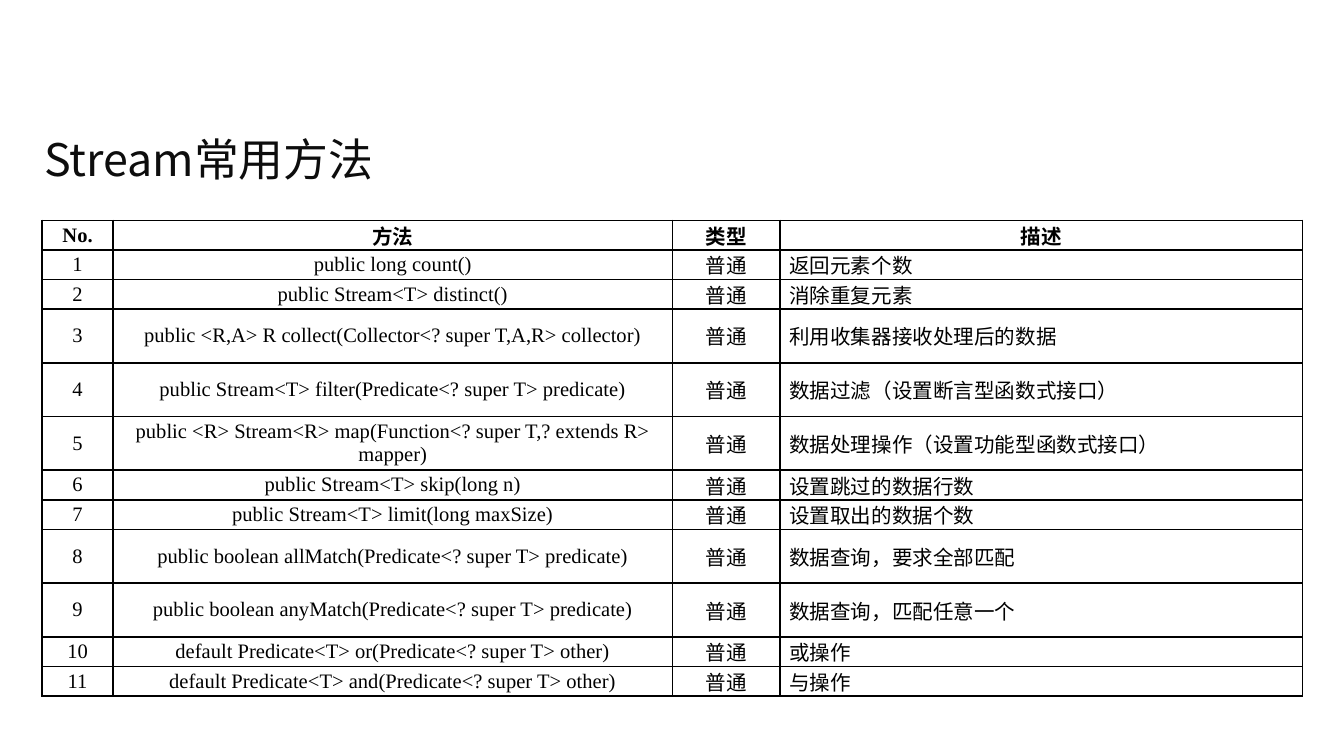
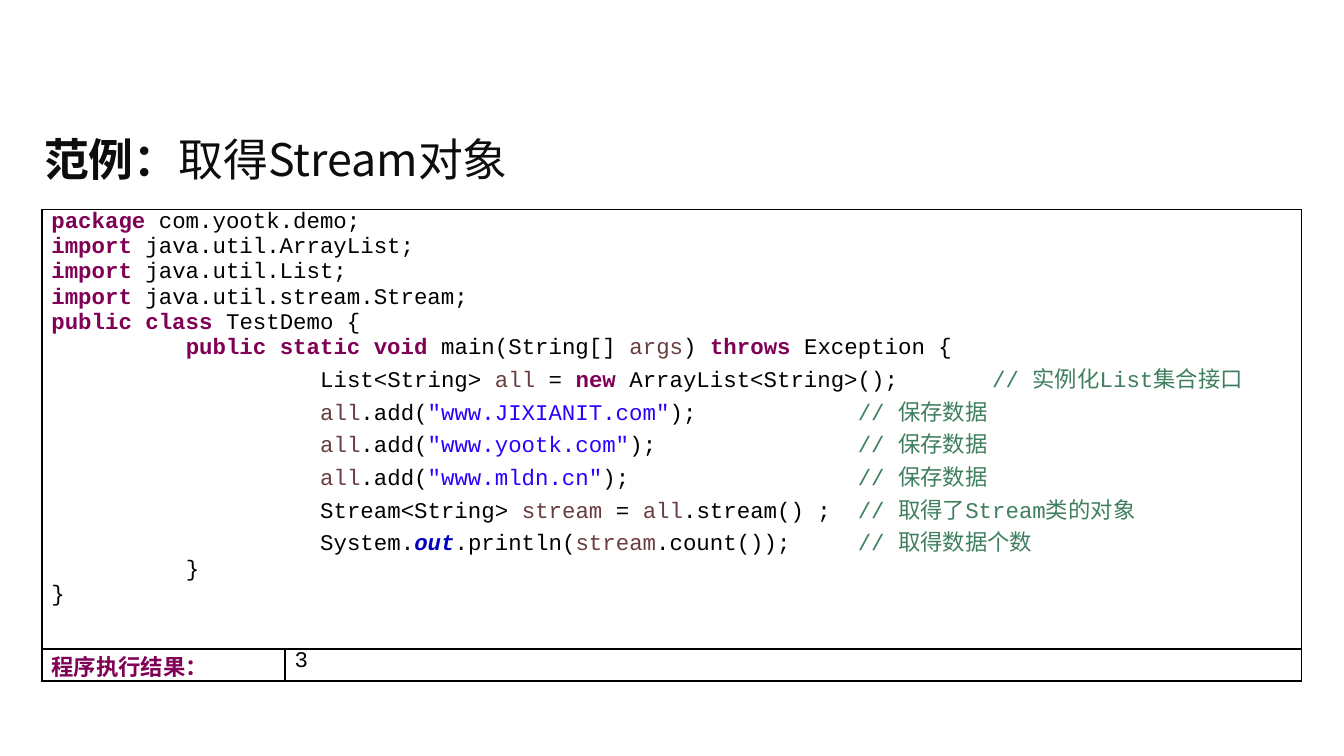
from dataclasses import dataclass

from lxml import etree
from pptx import Presentation
from pptx.dml.color import RGBColor
from pptx.enum.text import MSO_ANCHOR, PP_ALIGN
from pptx.oxml.ns import qn
from pptx.util import Inches, Pt

LEFT = PP_ALIGN.LEFT
CENTER = PP_ALIGN.CENTER
JUSTIFY = PP_ALIGN.JUSTIFY
TOP = MSO_ANCHOR.TOP
MIDDLE = MSO_ANCHOR.MIDDLE


@dataclass(frozen=True)
class Theme:
    width: float = 10
    height: float = 10 * 9 / 16
    margin: float = 10 / 32
    cell_inset: float = 0.07
    border: float = 1
    tab: float = 1
    title_size: int = 24
    table_size: int = 11
    code_size: int = 12
    east_asian_font: str = "Noto Sans CJK SC"
    table_font: str = "Times New Roman"
    code_font: str = "Courier New"
    title_ink: str = "0D0D0D"
    ink: str = "000000"
    keyword: str = "7F0055"
    variable: str = "6A3E3E"
    literal: str = "2A00FF"
    comment: str = "3F7F5F"
    field: str = "0000C0"


THEME = Theme()
TABLE_WIDTH = THEME.width - 2 * THEME.margin

METHOD_COLUMNS = (0.53, 4.16, 0.8, 3.89)
METHOD_HEADER = ("No.", "方法", "类型", "描述")
METHOD_KIND = "普通"
METHODS = (
    ("public long count()", "返回元素个数"),
    ("public Stream<T> distinct()", "消除重复元素"),
    ("public <R,A> R collect(Collector<? super T,A,R> collector)", "利用收集器接收处理后的数据"),
    ("public Stream<T> filter(Predicate<? super T> predicate)", "数据过滤（设置断言型函数式接口）"),
    ("public <R> Stream<R> map(Function<? super T,? extends R> mapper)", "数据处理操作（设置功能型函数式接口）"),
    ("public Stream<T> skip(long n)", "设置跳过的数据行数"),
    ("public Stream<T> limit(long maxSize)", "设置取出的数据个数"),
    ("public boolean allMatch(Predicate<? super T> predicate)", "数据查询，要求全部匹配"),
    ("public boolean anyMatch(Predicate<? super T> predicate)", "数据查询，匹配任意一个"),
    ("default Predicate<T> or(Predicate<? super T> other)", "或操作"),
    ("default Predicate<T> and(Predicate<? super T> other)", "与操作"),
)
TALL_ROWS = {3, 4, 5, 8, 9}
ROW_HEIGHT = 0.22
TALL_ROW_HEIGHT = 0.4


def plain(text):
    return text, THEME.ink, False, False


def keyword(text):
    return text, THEME.keyword, True, False


def variable(text):
    return text, THEME.variable, False, False


def literal(text):
    return text, THEME.literal, False, False


def comment(text):
    return text, THEME.comment, False, False


def field(text):
    return text, THEME.field, True, True


def import_line(name):
    return [keyword("import"), plain(f" java.util.{name};")]


def add_line(address):
    return [plain("\t\t"), variable("all"), plain(".add("), literal(f'"{address}"'),
            plain(");\t\t"), comment("// 保存数据")]


CODE = [
    [keyword("package"), plain(" com.yootk.demo;")],
    *map(import_line, ("ArrayList", "List", "stream.Stream")),
    [keyword("public class"), plain(" TestDemo {")],
    [plain("\t"), keyword("public static void"), plain(" main(String[] "), variable("args"),
     plain(") "), keyword("throws"), plain(" Exception {")],
    [plain("\t\tList<String> "), variable("all"), plain(" = "), keyword("new"),
     plain(" ArrayList<String>();\t"), comment("// 实例化List集合接口")],
    *map(add_line, ("www.JIXIANIT.com", "www.yootk.com", "www.mldn.cn")),
    [plain("\t\tStream<String> "), variable("stream"), plain(" = "), variable("all"),
     plain(".stream() ;\t"), comment("// 取得了Stream类的对象")],
    [plain("\t\tSystem."), field("out"), plain(".println("), variable("stream"),
     plain(".count());\t"), comment("// 取得数据个数")],
    [plain("\t}")],
    [plain("}")],
]


def style_paragraph(para, font_name, size, color, bold=None, align=LEFT):
    para.alignment = align
    para.font.name = font_name
    para.font.size = Pt(size)
    para.font.color.rgb = RGBColor.from_string(color)
    para.font.bold = bold
    defaults = para._p.get_or_add_pPr().find(qn("a:defRPr"))
    etree.SubElement(defaults, qn("a:ea"), typeface=THEME.east_asian_font)


def add_tab_stops(para):
    stops = etree.SubElement(para._p.get_or_add_pPr(), qn("a:tabLst"))
    for column in range(1, int(TABLE_WIDTH / THEME.tab)):
        etree.SubElement(stops, qn("a:tab"), pos=str(Inches(column * THEME.tab)), algn="l")


def add_title(page, *pieces):
    box = page.shapes.add_textbox(Inches(0.23), Inches(0.86), Inches(9.53), Inches(0.64))
    frame = box.text_frame
    frame.word_wrap = True
    frame.vertical_anchor = MIDDLE
    para = frame.paragraphs[0]
    style_paragraph(para, THEME.east_asian_font, THEME.title_size, THEME.title_ink)
    for text, bold in pieces:
        span = para.add_run()
        span.text = text
        span.font.bold = bold


def add_borders(cell):
    properties = cell._tc.get_or_add_tcPr()
    for index, side in enumerate(("lnL", "lnR", "lnT", "lnB")):
        line = etree.Element(qn(f"a:{side}"), w=str(Pt(THEME.border)))
        fill = etree.SubElement(line, qn("a:solidFill"))
        etree.SubElement(fill, qn("a:srgbClr"), val=THEME.ink)
        properties.insert(index, line)


def add_grid(page, top, columns, rows):
    frame = page.shapes.add_table(len(rows), len(columns), Inches(THEME.margin), Inches(top),
                                  Inches(TABLE_WIDTH), Inches(sum(rows)))
    table = frame.table
    table.first_row = False
    table.horz_banding = False
    for column, width in zip(table.columns, columns):
        column.width = Inches(width)
    for row, height in zip(table.rows, rows):
        row.height = Inches(height)
    for cell in table.iter_cells():
        cell.margin_left = cell.margin_right = Inches(THEME.cell_inset)
        cell.margin_top = cell.margin_bottom = 0
        cell.fill.background()
        add_borders(cell)
    return table


def fill_code_cell(cell, lines):
    cell.vertical_anchor = TOP
    frame = cell.text_frame
    for index, line in enumerate(lines):
        para = frame.add_paragraph() if index else frame.paragraphs[0]
        add_tab_stops(para)
        style_paragraph(para, THEME.code_font, THEME.code_size, THEME.ink)
        for text, color, bold, italic in line:
            span = para.add_run()
            span.text = text
            span.font.color.rgb = RGBColor.from_string(color)
            span.font.bold = bold
            span.font.italic = italic


def add_methods_table(page):
    records = [METHOD_HEADER]
    for number, (signature, description) in enumerate(METHODS, 1):
        records.append((str(number), signature, METHOD_KIND, description))
    heights = [TALL_ROW_HEIGHT if index in TALL_ROWS else ROW_HEIGHT
               for index in range(len(records))]
    table = add_grid(page, 1.64, METHOD_COLUMNS, heights)
    for row, record in enumerate(records):
        for column, text in enumerate(record):
            cell = table.cell(row, column)
            cell.vertical_anchor = MIDDLE
            para = cell.text_frame.paragraphs[0]
            is_description = row > 0 and column == len(record) - 1
            style_paragraph(para, THEME.table_font, THEME.table_size, THEME.ink,
                            row == 0, JUSTIFY if is_description else CENTER)
            para.add_run().text = text


def add_code_table(page):
    table = add_grid(page, 1.56, (1.81, 7.56), (3.27, 0.24))
    table.cell(0, 0).merge(table.cell(0, 1))
    fill_code_cell(table.cell(0, 0), CODE)
    fill_code_cell(table.cell(1, 0), [[keyword("程序执行结果：")]])
    fill_code_cell(table.cell(1, 1), [[plain("3")]])


def main():
    deck = Presentation()
    deck.slide_width = Inches(THEME.width)
    deck.slide_height = Inches(THEME.height)
    blank = deck.slide_layouts[6]

    methods_page = deck.slides.add_slide(blank)
    add_title(methods_page, ("Stream常用方法", False))
    add_methods_table(methods_page)

    example_page = deck.slides.add_slide(blank)
    add_title(example_page, ("范例：", True), ("取得Stream对象", False))
    add_code_table(example_page)

    deck.save("out.pptx")


if __name__ == "__main__":
    main()
